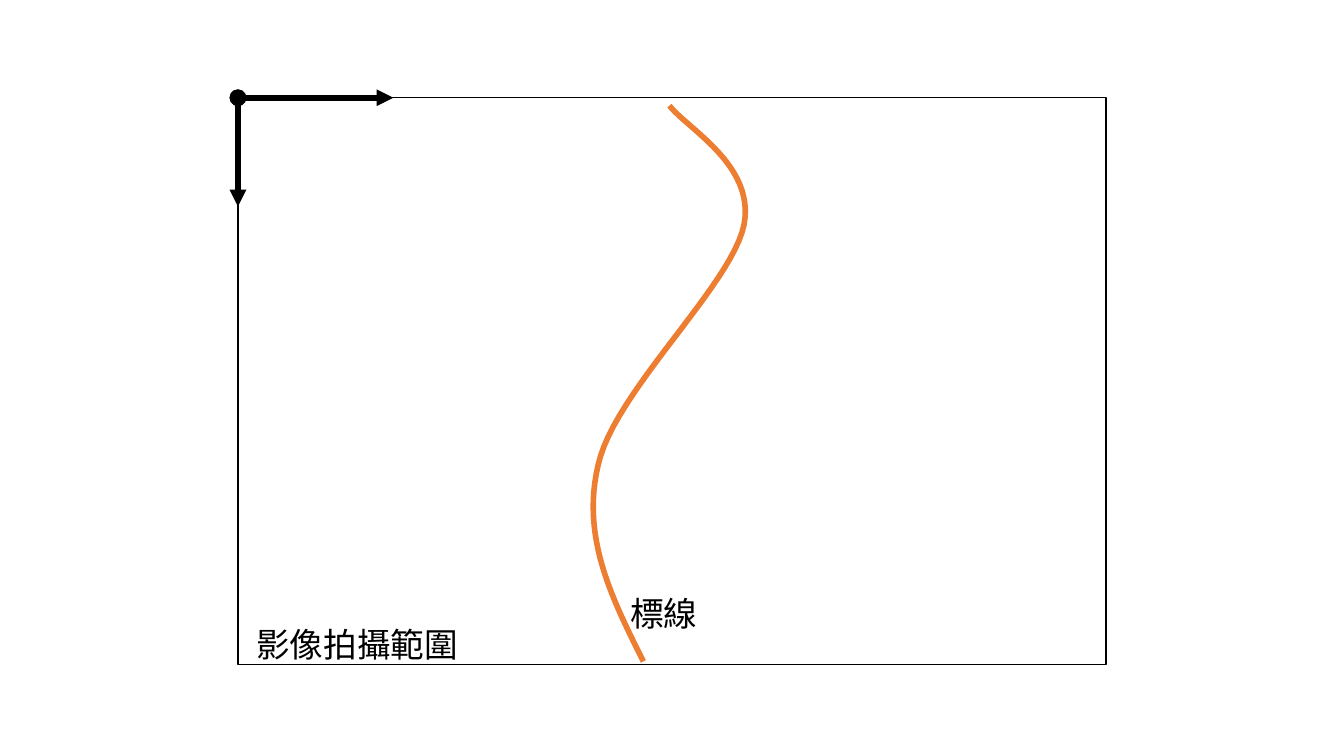
from pptx import Presentation
from pptx.dml.color import RGBColor
from pptx.enum.shapes import MSO_CONNECTOR, MSO_SHAPE
from pptx.enum.text import MSO_ANCHOR
from pptx.oxml.ns import qn
from pptx.util import Inches, Pt
from lxml.etree import SubElement

WIDE, HIGH = 13.33, 7.5
FRAME = (2.36, 0.97, 8.61, 5.62)
FONT = "Noto Sans CJK JP"
CURVE = [
    (46.7, 99.5), (43.1, 88.4), (39.5, 77.6), (41.5, 64.8), (43.3, 52),
    (56.9, 33.1), (58.3, 22.4), (59.6, 11.9), (51.8, 5.5), (49.7, 1.4),
]
LABELS = [("影像拍攝範圍", 2.1, 92.9), ("標線", 45.2, 87.4)]
AXES = [(17.9, 0), (0, 19.2)]
STEPS = 24


def paint(part, color):
    """Set a solid colour on a fill or the fill of a line."""
    part.solid()
    part.fore_color.rgb = RGBColor.from_string(color)


def stroke(shape, color, width):
    """Give a shape its outline."""
    paint(shape.line.fill, color)
    shape.line.width = Pt(width)


def place(box, x, y):
    """Turn percents of a box into a slide position."""
    left, top, wide, high = box
    return Inches(left + wide * x / 100), Inches(top + high * y / 100)


def blend(ends, t):
    """Find the point at share t of a cubic curve."""
    parts = ((1 - t) ** 3, 3 * t * (1 - t) ** 2, 3 * t * t * (1 - t), t ** 3)
    return tuple(sum(k * p[i] for k, p in zip(parts, ends)) for i in (0, 1))


def add_frame(slide, box):
    """Draw the edge of the captured area."""
    frame = slide.shapes.add_shape(MSO_SHAPE.TRAPEZOID, *map(Inches, box))
    frame.adjustments[0] = 0
    frame.shadow.inherit = False
    paint(frame.fill, "FFFFFF")
    stroke(frame, "000000", 1)


def add_curve(slide, box):
    """Draw the marking line through its curve segments."""
    dots = [
        place(box, *blend(CURVE[i:i + 4], n / STEPS))
        for i in range(0, len(CURVE) - 1, 3)
        for n in range(1, STEPS + 1)
    ]
    pen = slide.shapes.build_freeform(*place(box, *CURVE[0]))
    pen.add_line_segments(dots, close=False)
    curve = pen.convert_to_shape()
    curve.shadow.inherit = False
    curve.fill.background()
    stroke(curve, "ED7D31", 4)


def add_label(slide, box, text, x, y):
    """Write one label at its place in the box."""
    size = Inches(len(text) * 24 / 72), Inches(0.4)
    frame = slide.shapes.add_textbox(*place(box, x, y), *size).text_frame
    style = {
        "margin_left": 0, "margin_top": 0, "margin_right": 0,
        "margin_bottom": 0, "word_wrap": False,
        "vertical_anchor": MSO_ANCHOR.MIDDLE,
    }
    for key, value in style.items():
        setattr(frame, key, value)
    run = frame.paragraphs[0].add_run()
    run.text = text
    for key, value in {"size": Pt(24), "name": FONT}.items():
        setattr(run.font, key, value)
    paint(run.font.fill, "000000")
    SubElement(run.font._element, qn("a:ea"), typeface=FONT)


def add_axis(slide, box, x, y):
    """Draw one axis arrow from the top left corner."""
    axis = slide.shapes.add_connector(
        MSO_CONNECTOR.STRAIGHT, *place(box, 0, 0), *place(box, x, y))
    stroke(axis, "000000", 4)
    line = axis.line._get_or_add_ln()
    SubElement(line, qn("a:headEnd"), type="oval")
    SubElement(line, qn("a:tailEnd"), type="triangle")
    SubElement(axis._element.spPr, qn("a:effectLst"))


def add_view(slide, box):
    """Build the captured area with its line, labels and axes."""
    add_frame(slide, box)
    add_curve(slide, box)
    for label in LABELS:
        add_label(slide, box, *label)
    for axis in AXES:
        add_axis(slide, box, *axis)


def main():
    """Build and save the slide."""
    deck = Presentation()
    deck.slide_width, deck.slide_height = Inches(WIDE), Inches(HIGH)
    add_view(deck.slides.add_slide(deck.slide_layouts[6]), FRAME)
    deck.save("out.pptx")


if __name__ == "__main__":
    main()
